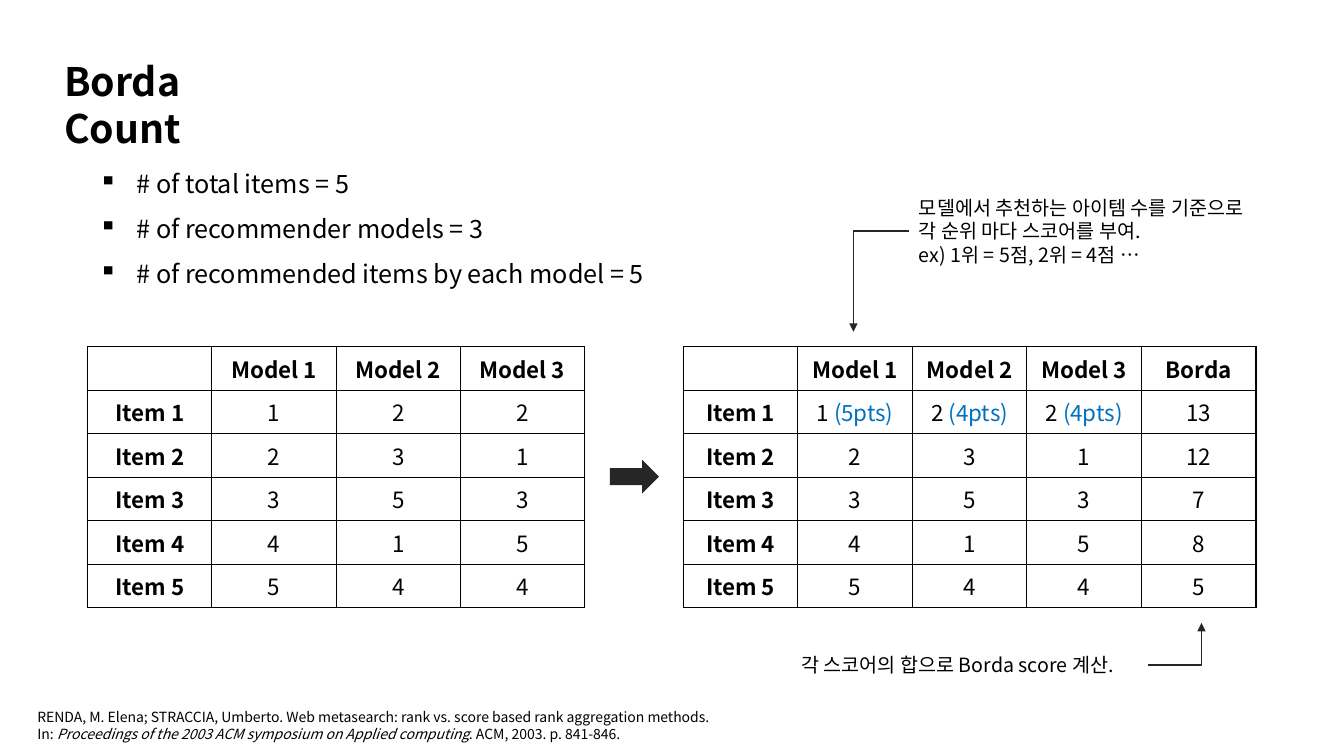
from lxml.etree import SubElement
from pptx import Presentation
from pptx.dml.color import RGBColor
from pptx.enum.shapes import MSO_CONNECTOR, MSO_SHAPE
from pptx.enum.text import MSO_ANCHOR, PP_ALIGN
from pptx.oxml.ns import qn
from pptx.util import Cm, Pt

COLORS = {"text": "000000", "dark": "262626", "points": "0070C0"}
FONT = "Noto Sans CJK KR"


def write(frame, lines, size, bold=False, align=PP_ALIGN.LEFT, spacing=None, bullet=None):
    """Each line is a list of (text, color name, italic) spans or a plain string."""
    frame.word_wrap = True
    for index, line in enumerate(lines):
        para = frame.paragraphs[0] if index == 0 else frame.add_paragraph()
        para.alignment = align
        para.line_spacing = spacing
        if bullet:
            properties = para._p.get_or_add_pPr()
            properties.set("marL", str(Cm(0.95)))
            properties.set("indent", str(-Cm(0.95)))
            SubElement(properties, qn("a:buChar")).set("char", bullet)
        spans = [(line, "text", False)] if isinstance(line, str) else line
        for text, color, italic in spans:
            span = para.add_run()
            span.text = text
            span.font.name = FONT
            span.font.size = Pt(size)
            span.font.bold = bold
            span.font.italic = italic
            span.font.color.rgb = RGBColor.from_string(COLORS[color])
            SubElement(span._r.get_or_add_rPr(), qn("a:ea")).set("typeface", FONT)


def add_border(cell):
    properties = cell._tc.get_or_add_tcPr()
    for position, side in enumerate(("a:lnL", "a:lnR", "a:lnT", "a:lnB")):
        line = properties.makeelement(qn(side), {"w": str(Pt(1))})
        fill = SubElement(line, qn("a:solidFill"))
        SubElement(fill, qn("a:srgbClr")).set("val", COLORS["text"])
        properties.insert(position, line)


deck = Presentation()
deck.slide_width, deck.slide_height = Cm(33.87), Cm(19.05)
page = deck.slides.add_slide(deck.slide_layouts[6])

# Title, bullets, notes and reference
reference = [
    "RENDA, M. Elena; STRACCIA, Umberto. Web metasearch: rank vs. score based rank aggregation methods.",
    [("In: ", "text", False),
     ("Proceedings of the 2003 ACM symposium on Applied computing", "text", True),
     (". ACM, 2003. p. 841-846.", "text", False)],
]
bullets = [
    "# of total items = 5",
    "# of recommender models = 3",
    "# of recommended items by each model = 5",
]
score_note = [
    "모델에서 추천하는 아이템 수를 기준으로 각 순위 마다 스코어를 부여.",
    "ex) 1위 = 5점, 2위 = 4점 …",
]
text_boxes = [
    (1.37, 1.32, 6.53, 1.45, ["Borda Count"], {"size": 28, "bold": True}),
    (2.24, 3.73, 14.71, 3.58, bullets, {"size": 18, "spacing": 1.5, "bullet": "▪"}),
    (22.91, 4.8, 8.81, 2.06, score_note, {"size": 14}),
    (19.94, 16.33, 8.99, 0.86, ["각 스코어의 합으로 Borda score 계산."], {"size": 14}),
    (0.69, 17.73, 17.81, 1.12, reference, {"size": 10}),
]
for left, top, width, height, lines, style in text_boxes:
    box = page.shapes.add_textbox(Cm(left), Cm(top), Cm(width), Cm(height))
    write(box.text_frame, lines, **style)
    if lines == ["Borda Count"]:
        box.text_frame.margin_right = Cm(3)  # breaks the title after its first word

# Ranking table and score table
ranks = [[1, 2, 2], [2, 3, 1], [3, 5, 3], [4, 1, 5], [5, 4, 4]]
borda_scores = [13, 12, 7, 8, 5]
header = ["", "Model 1", "Model 2", "Model 3"]
rank_rows = [header] + [
    [f"Item {number}"] + [str(rank) for rank in row] for number, row in enumerate(ranks, 1)
]
score_rows = [row + [str(last)] for row, last in zip(rank_rows, ["Borda"] + borda_scores)]
for column, rank in enumerate(ranks[0], 1):
    score_rows[1][column] = [(f"{rank} ", "text", False), (f"({6 - rank}pts)", "points", False)]

for left, width, rows in ((2.21, 12.52, rank_rows), (17.22, 14.43, score_rows)):
    table = page.shapes.add_table(
        len(rows), len(rows[0]), Cm(left), Cm(8.74), Cm(width), Cm(6.58)).table
    table.first_row = table.horz_banding = False
    for row_index, row in enumerate(rows):
        for column_index, content in enumerate(row):
            cell = table.cell(row_index, column_index)
            cell.fill.background()
            cell.vertical_anchor = MSO_ANCHOR.MIDDLE
            cell.margin_top = cell.margin_bottom = 0
            add_border(cell)
            if content:
                write(cell.text_frame, [content], 16, align=PP_ALIGN.CENTER,
                      bold=row_index == 0 or column_index == 0)

# Block arrow between the tables
arrow = page.shapes.add_shape(MSO_SHAPE.RIGHT_ARROW, Cm(15.37), Cm(11.58), Cm(1.24), Cm(0.86))
arrow.shadow.inherit = False
arrow.fill.solid()
arrow.fill.fore_color.rgb = RGBColor.from_string(COLORS["dark"])
arrow.line.fill.background()

# Bent arrows from the notes to the score table
for ends in ((22.91, 5.82, 21.51, 8.36), (28.93, 16.76, 30.28, 15.7)):
    pointer = page.shapes.add_connector(MSO_CONNECTOR.ELBOW, *(Cm(value) for value in ends))
    pointer.line.width = Pt(1)
    pointer.line.color.rgb = RGBColor.from_string(COLORS["dark"])
    SubElement(pointer.line._get_or_add_ln(), qn("a:tailEnd")).set("type", "triangle")
    properties = pointer._element.spPr
    properties.find(qn("a:prstGeom")).set("prst", "bentConnector2")
    SubElement(properties, qn("a:effectLst"))

deck.save("out.pptx")
